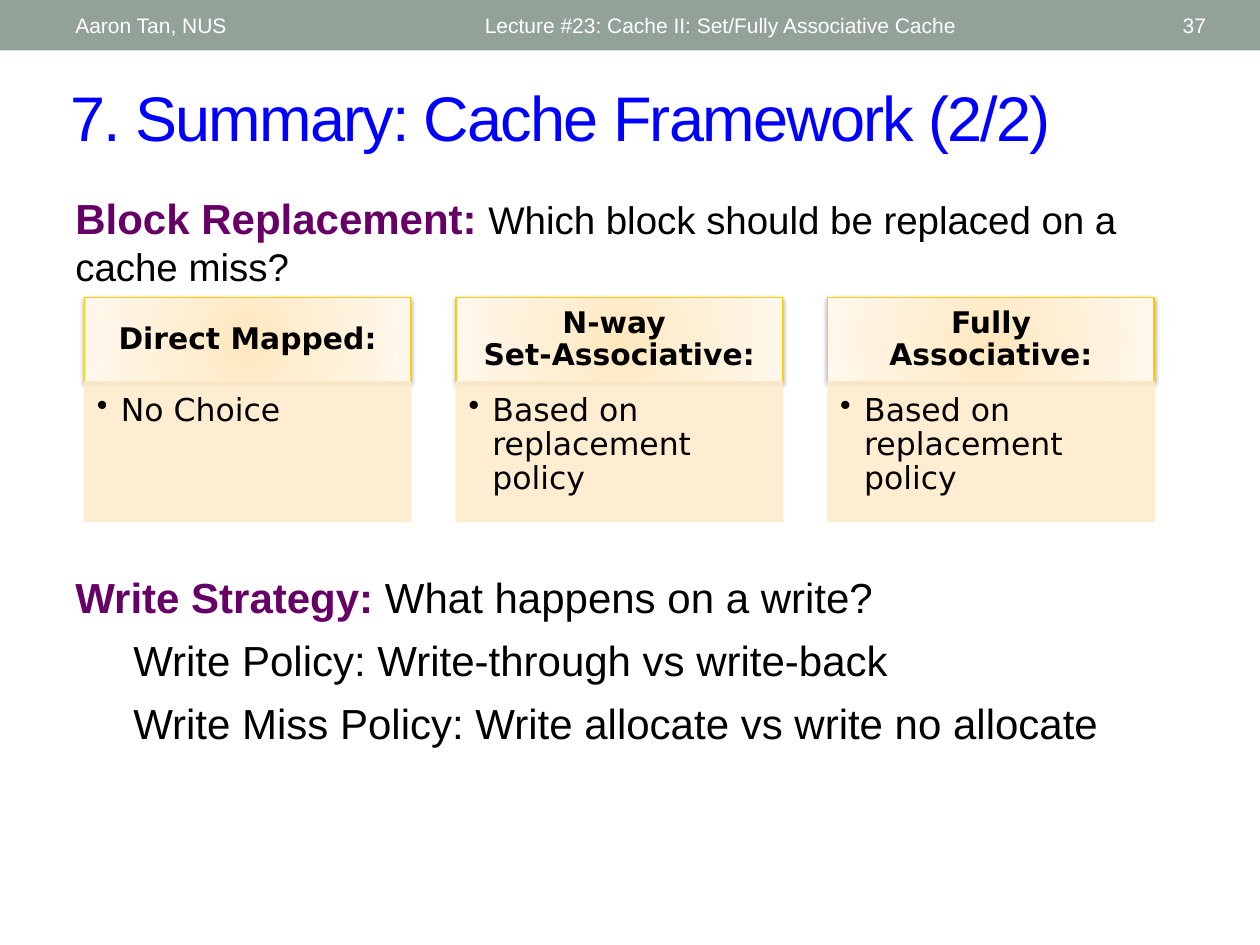
from dataclasses import dataclass

from lxml import etree
from pptx import Presentation
from pptx.dml.color import RGBColor
from pptx.enum.shapes import MSO_SHAPE
from pptx.enum.text import MSO_ANCHOR, PP_ALIGN
from pptx.oxml import parse_xml
from pptx.oxml.ns import nsdecls, qn
from pptx.util import Inches, Pt

RECTANGLE = MSO_SHAPE.RECTANGLE
TOP, MIDDLE = MSO_ANCHOR.TOP, MSO_ANCHOR.MIDDLE
LEFT, CENTER, RIGHT = PP_ALIGN.LEFT, PP_ALIGN.CENTER, PP_ALIGN.RIGHT

SANS, CARD_FONT = "Arial", "DejaVu Sans"
BLACK, WHITE, PURPLE, BLUE = "000000", "FFFFFF", "660066", "0000FF"
BAND, GOLD, CREAM = "93A299", "FFCC00", "FFECCC"
HEADING_STOPS = [(0, "FFE7BD"), (35, "FFEED1"), (100, "FFF8EE")]

CARD_LEFT, CARD_PITCH, CARD_WIDTH = 0.67, 2.95, 2.59
HEADING_TOP, HEADING_HEIGHT = 2.36, 0.67
ANSWER_HEIGHT = 1.11


@dataclass
class Span:
    text: str
    size: float
    color: str = BLACK
    bold: bool = False
    font: str = SANS


@dataclass
class Card:
    heading: str
    answer: str


CARDS = [
    Card("Direct Mapped:", "No Choice"),
    Card("N-way \vSet-Associative:", "Based on replacement policy"),
    Card("Fully Associative:", "Based on replacement policy"),
]


def rgb(value: str) -> RGBColor:
    return RGBColor.from_string(value)


def add_spans(para, spans: list[Span]) -> None:
    for span in spans:
        for index, line in enumerate(span.text.split("\v")):
            if index:
                para.add_line_break()
            run = para.add_run()
            run.text = line
            run.font.size = Pt(span.size)
            run.font.name = span.font
            run.font.bold = span.bold
            run.font.color.rgb = rgb(span.color)


def set_frame(frame, anchor, margins: tuple[float, float, float, float]) -> None:
    """Wrap the text; margins run left, top, right, bottom in inches."""
    frame.word_wrap = True
    frame.vertical_anchor = anchor
    (frame.margin_left, frame.margin_top,
     frame.margin_right, frame.margin_bottom) = map(Inches, margins)


def add_text(page, left: float, top: float, width: float, height: float,
             spans: list[Span], anchor=TOP, align=LEFT):
    box = page.shapes.add_textbox(Inches(left), Inches(top), Inches(width), Inches(height))
    set_frame(box.text_frame, anchor, (0.1, 0.05, 0.1, 0.05))
    para = box.text_frame.paragraphs[0]
    para.alignment = align
    add_spans(para, spans)
    return box


def add_rectangle(page, left: float, top: float, width: float, height: float, fill: str):
    shape = page.shapes.add_shape(RECTANGLE, Inches(left), Inches(top),
                                  Inches(width), Inches(height))
    shape.shadow.inherit = False
    shape.fill.solid()
    shape.fill.fore_color.rgb = rgb(fill)
    shape.line.fill.background()
    return shape


def set_outline(shape, color: str) -> None:
    shape.line.color.rgb = rgb(color)
    shape.line.width = Pt(0.75)


def set_radial_fill(shape, stops: list[tuple[int, str]]) -> None:
    stop_xml = "".join(f'<a:gs pos="{position * 1000}"><a:srgbClr val="{color}"/></a:gs>'
                       for position, color in stops)
    gradient = parse_xml(
        f'<a:gradFill {nsdecls("a")} rotWithShape="1"><a:gsLst>{stop_xml}</a:gsLst>'
        '<a:path path="circle"><a:fillToRect l="50000" t="50000" r="50000" b="50000"/>'
        '</a:path></a:gradFill>')
    properties = shape._element.spPr
    properties.replace(properties.find(qn("a:solidFill")), gradient)


def add_soft_shadow(shape) -> None:
    effects = shape._element.spPr.find(qn("a:effectLst"))
    effects.append(parse_xml(
        f'<a:outerShdw {nsdecls("a")} blurRad="{Pt(3.1)}" dist="{Pt(1.6)}" dir="5400000" '
        'rotWithShape="0"><a:srgbClr val="000000"><a:alpha val="38000"/></a:srgbClr>'
        '</a:outerShdw>'))


def set_opacity(shape, percent: int) -> None:
    """Apply one opacity to both the fill and the outline."""
    for color in shape._element.spPr.iter(qn("a:srgbClr")):
        etree.SubElement(color, qn("a:alpha")).set("val", str(percent * 1000))


def add_bullet(para, indent: float) -> None:
    properties = para._p.get_or_add_pPr()
    properties.set("marL", str(Inches(indent)))
    properties.set("indent", str(-Inches(indent)))
    etree.SubElement(properties, qn("a:buChar")).set("char", "•")


def add_card(page, left: float, card: Card) -> None:
    heading = add_rectangle(page, left, HEADING_TOP, CARD_WIDTH, HEADING_HEIGHT, CREAM)
    set_outline(heading, GOLD)
    set_radial_fill(heading, HEADING_STOPS)
    add_soft_shadow(heading)
    set_frame(heading.text_frame, MIDDLE, (0.14, 0.08, 0.14, 0.08))
    para = heading.text_frame.paragraphs[0]
    para.alignment = CENTER
    para.line_spacing = 0.9
    add_spans(para, [Span(card.heading, 17, bold=True, font=CARD_FONT)])

    answer = add_rectangle(page, left, HEADING_TOP + HEADING_HEIGHT,
                           CARD_WIDTH, ANSWER_HEIGHT, CREAM)
    set_outline(answer, CREAM)
    set_opacity(answer, 90)
    set_frame(answer.text_frame, TOP, (0.1, 0.1, 0.14, 0.16))
    para = answer.text_frame.paragraphs[0]
    para.alignment = LEFT
    para.line_spacing = 0.9
    add_bullet(para, 0.19)
    add_spans(para, [Span(card.answer, 18, font=CARD_FONT)])


def add_header(page) -> None:
    add_rectangle(page, 0, 0, 10, 0.4, BAND)
    for left, width, text, align in [
        (0.5, 3.17, "Aaron Tan, NUS", LEFT),
        (3.75, 4.5, "Lecture #23: Cache II: Set/Fully Associative Cache", LEFT),
        (8.72, 0.95, "37", RIGHT),
    ]:
        add_text(page, left, 0.02, width, 0.36, [Span(text, 12, WHITE)], MIDDLE, align)


def add_title(page) -> None:
    title = add_text(page, 0.46, 0.57, 9.21, 0.7,
                     [Span("7. Summary: Cache Framework (2/2)", 36, BLUE)], MIDDLE)
    run = title.text_frame.paragraphs[0].runs[0]
    run.font._element.set("spc", "-100")


def add_write_strategy(page) -> None:
    box = add_text(page, 0.5, 4.49, 9, 1.58, [
        Span("Write Strategy: ", 24, PURPLE, bold=True),
        Span("What happens on a write?", 24),
    ])
    for text in ["Write Policy: Write-through vs write-back",
                 "Write Miss Policy: Write allocate vs write no allocate"]:
        para = box.text_frame.add_paragraph()
        para.space_before = Pt(7)
        para._p.get_or_add_pPr().set("marL", str(Inches(0.46)))
        add_spans(para, [Span(text, 24)])


def main() -> None:
    deck = Presentation()
    deck.slide_width, deck.slide_height = Inches(10), Inches(7.5)
    page = deck.slides.add_slide(deck.slide_layouts[6])
    add_header(page)
    add_title(page)
    add_text(page, 0.5, 1.48, 9, 1, [
        Span("Block Replacement: ", 24, PURPLE, bold=True),
        Span("Which block should be replaced on a cache miss?", 22),
    ])
    for index, card in enumerate(CARDS):
        add_card(page, CARD_LEFT + index * CARD_PITCH, card)
    add_write_strategy(page)
    deck.save("out.pptx")


if __name__ == "__main__":
    main()
